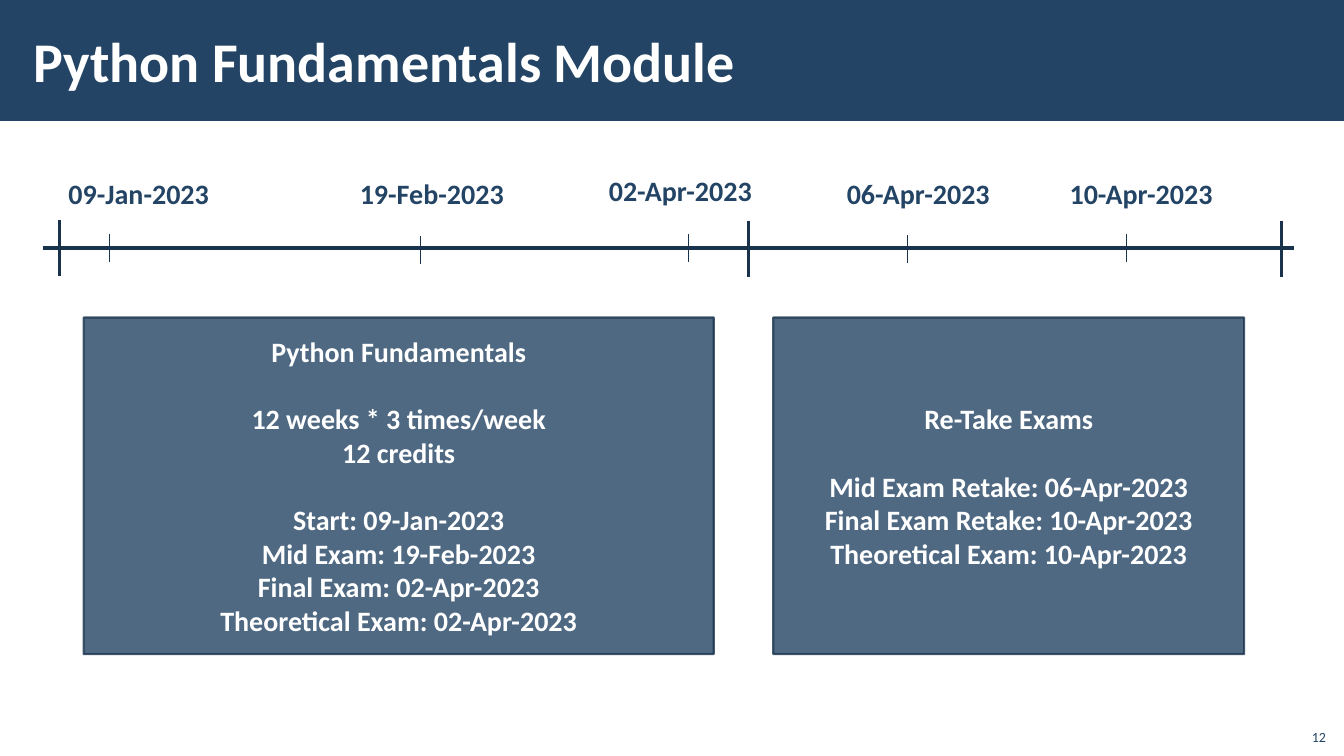
from lxml import etree
from pptx import Presentation
from pptx.dml.color import RGBColor
from pptx.enum.shapes import MSO_CONNECTOR, MSO_SHAPE
from pptx.enum.text import MSO_ANCHOR, MSO_AUTO_SIZE, PP_ALIGN
from pptx.oxml.ns import qn
from pptx.util import Inches, Pt

STRAIGHT = MSO_CONNECTOR.STRAIGHT
RECTANGLE = MSO_SHAPE.RECTANGLE
MIDDLE, BOTTOM, TOP = MSO_ANCHOR.MIDDLE, MSO_ANCHOR.BOTTOM, MSO_ANCHOR.TOP
LEFT, CENTER, RIGHT = PP_ALIGN.LEFT, PP_ALIGN.CENTER, PP_ALIGN.RIGHT
NO_FIT, GROW = MSO_AUTO_SIZE.NONE, MSO_AUTO_SIZE.SHAPE_TO_FIT_TEXT

COLORS = {"navy": "234465", "line": "1A334C", "white": "FFFFFF"}
TITLE_ONLY = 5
AXIS_Y = 2.46

# Left, top and width of each date label
DATES = [
    ("09-Jan-2023", 0.58, 1.7, 1.61),
    ("19-Feb-2023", 3.47, 1.7, 1.64),
    ("02-Apr-2023", 5.94, 1.67, 1.65),
    ("06-Apr-2023", 8.3, 1.7, 1.65),
    ("10-Apr-2023", 10.51, 1.7, 1.65),
]
# Horizontal place and top of each tick
PERIOD_TICKS = [(0.59, 2.18), (7.42, 2.19), (12.71, 2.19)]
DATE_TICKS = [(1.08, 2.32), (4.17, 2.34), (6.83, 2.32), (9, 2.33), (11.17, 2.32)]

# Each panel holds groups of lines with a blank line's height between them
PANELS = [
    (0.83, 6.25, [
        ["Python Fundamentals"],
        ["12 weeks * 3 times/week", "12 credits"],
        ["Start: 09-Jan-2023", "Mid Exam: 19-Feb-2023",
         "Final Exam: 02-Apr-2023", "Theoretical Exam: 02-Apr-2023"],
    ]),
    (7.67, 4.67, [
        ["Re-Take Exams"],
        ["Mid Exam Retake: 06-Apr-2023", "Final Exam Retake: 10-Apr-2023",
         "Theoretical Exam: 10-Apr-2023"],
    ]),
]


def rgb(name):
    return RGBColor.from_string(COLORS[name])


def set_opacity(parent, percent):
    """Make every solid colour below the XML element partly transparent."""
    for color in parent.iter(qn("a:srgbClr")):
        etree.SubElement(color, qn("a:alpha"), val=str(percent * 1000))


class TimelineSlide:
    font = "Calibri"

    def __init__(self, presentation):
        self.slide = presentation.slides.add_slide(
            presentation.slide_layouts[TITLE_ONLY])
        self.shapes = self.slide.shapes

    def add_text(self, paragraph, text, size, color, bold, alignment):
        paragraph.alignment = alignment
        run = paragraph.add_run()
        run.text = text
        run.font.name = self.font
        run.font.size = Pt(size)
        run.font.bold = bold
        run.font.color.rgb = rgb(color)

    def rectangle(self, left, top, width, height):
        shape = self.shapes.add_shape(RECTANGLE, Inches(left), Inches(top),
                                      Inches(width), Inches(height))
        shape.shadow.inherit = False
        shape.fill.solid()
        shape.fill.fore_color.rgb = rgb("navy")
        shape.line.fill.background()
        return shape

    def title(self, text):
        band = self.rectangle(0, 0, 13.34, 1.2)
        title = self.shapes.title
        band.element.addnext(title.element)
        title.left, title.top = Inches(0.21), Inches(0.11)
        title.width, title.height = Inches(10.63), Inches(0.97)
        frame = title.text_frame
        frame.auto_size = NO_FIT
        frame.word_wrap = True
        frame.vertical_anchor = MIDDLE
        frame.margin_left = frame.margin_right = Inches(0.12)
        frame.margin_top = frame.margin_bottom = Inches(0.04)
        self.add_text(frame.paragraphs[0], text, 40, "white", True, LEFT)

    def label(self, text, left, top, width, height, size=20, bold=True,
              alignment=LEFT, anchor=TOP, fit=GROW):
        box = self.shapes.add_textbox(Inches(left), Inches(top),
                                      Inches(width), Inches(height))
        frame = box.text_frame
        frame.word_wrap = fit == NO_FIT
        frame.auto_size = fit
        frame.vertical_anchor = anchor
        self.add_text(frame.paragraphs[0], text, size, "navy", bold, alignment)

    def line(self, x1, y1, x2, y2, weight):
        connector = self.shapes.add_connector(
            STRAIGHT, Inches(x1), Inches(y1), Inches(x2), Inches(y2))
        connector.line.color.rgb = rgb("line")
        connector.line.width = Pt(weight)
        etree.SubElement(connector.element.spPr, qn("a:effectLst"))

    def tick(self, x, top, length, weight):
        self.line(x, top, x, top + length, weight)

    def panel(self, left, width, groups):
        shape = self.rectangle(left, 3.15, width, 3.34)
        shape.line.color.rgb = rgb("line")
        shape.line.width = Pt(1.5)
        set_opacity(shape.element.spPr, 80)
        frame = shape.text_frame
        frame.word_wrap = True
        frame.vertical_anchor = MIDDLE
        paragraph = frame.paragraphs[0]
        for group_index, group in enumerate(groups):
            for line_index, text in enumerate(group):
                if group_index or line_index:
                    paragraph = frame.add_paragraph()
                if group_index and not line_index:
                    paragraph.space_before = Pt(24)
                self.add_text(paragraph, text, 20, "white", True, CENTER)


def main():
    presentation = Presentation()
    presentation.slide_width = Inches(13.33)
    presentation.slide_height = Inches(7.5)
    timeline = TimelineSlide(presentation)
    timeline.title("Python Fundamentals Module")
    timeline.label("12", 12.85, 7.12, 0.4, 0.32, size=10, bold=False,
                   alignment=RIGHT, anchor=BOTTOM, fit=NO_FIT)
    timeline.line(0.43, AXIS_Y, 12.83, AXIS_Y, 2.25)
    for x, top in PERIOD_TICKS:
        timeline.tick(x, top, 0.56, 2.25)
    for x, top in DATE_TICKS:
        timeline.tick(x, top, 0.28, 0.5)
    for text, left, top, width in DATES:
        timeline.label(text, left, top, width, 0.44)
    for left, width, groups in PANELS:
        timeline.panel(left, width, groups)
    presentation.save("out.pptx")


if __name__ == "__main__":
    main()
